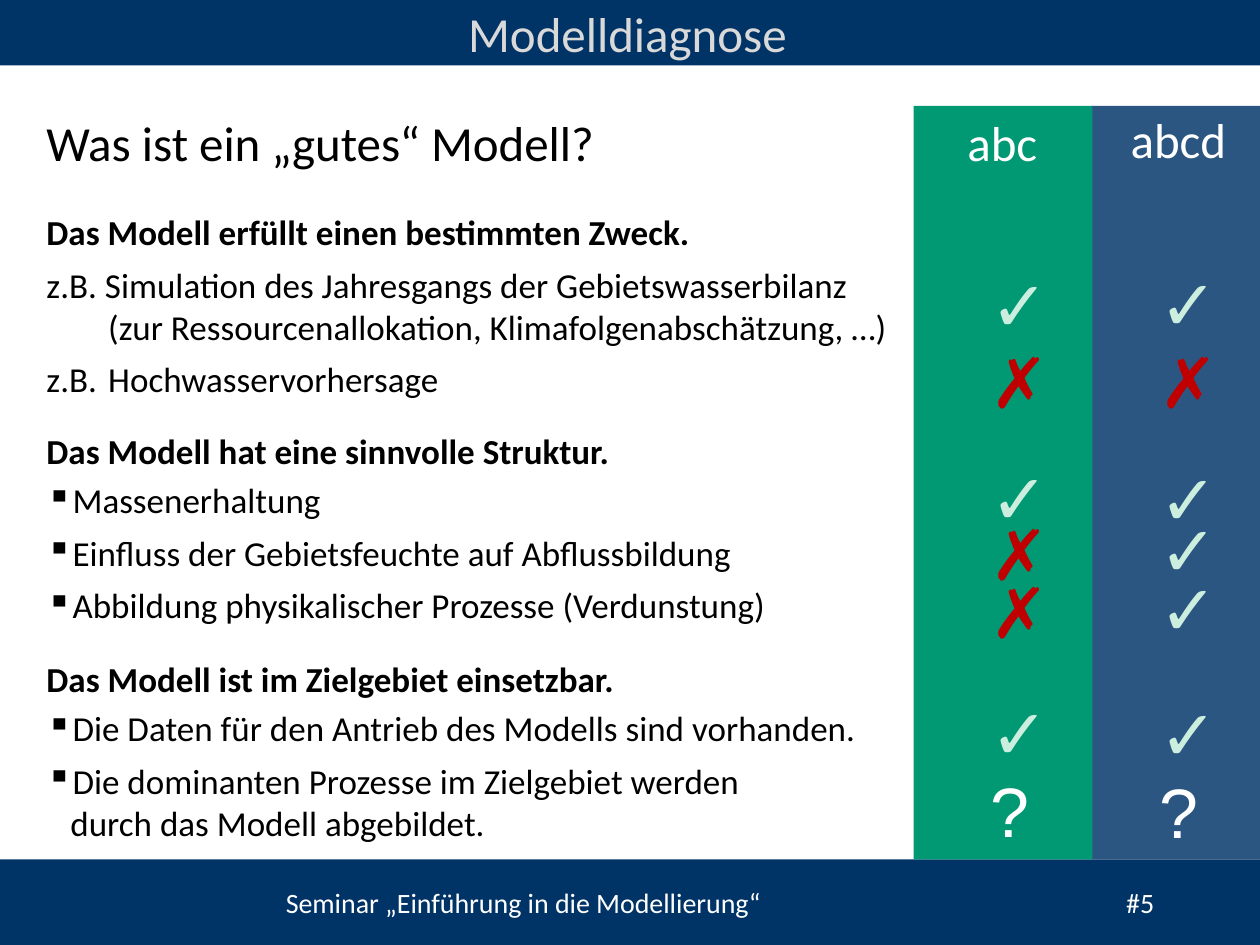
from lxml.etree import SubElement
from pptx import Presentation
from pptx.dml.color import RGBColor
from pptx.enum.shapes import MSO_SHAPE
from pptx.enum.text import PP_ALIGN
from pptx.oxml.ns import qn
from pptx.util import Inches, Pt

NAVY, BLUE, GREEN = "003366", "2B5681", "009973"
WHITE, BLACK, GREY = "FFFFFF", "000000", "D9D9D9"
MARK_COLORS = {"✓": "CCEEDF", "✗": "C00000", "?": WHITE}
HEADING_HEIGHT = 0.57


def color(hex_code):
    return RGBColor.from_string(hex_code)


def add_bar(slide, left, top, width, height, fill):
    shape = slide.shapes.add_shape(
        MSO_SHAPE.RECTANGLE, Inches(left), Inches(top), Inches(width), Inches(height))
    shape.shadow.inherit = False
    shape.fill.solid()
    shape.fill.fore_color.rgb = color(fill)
    shape.line.fill.background()


def set_hanging_indent(paragraph, indent, bullet=None):
    """Hang the first line by indent, led by a bullet or by text with a tab stop."""
    properties = paragraph._p.get_or_add_pPr()
    properties.set("marL", str(Inches(indent)))
    properties.set("indent", str(-Inches(indent)))
    if bullet:
        SubElement(properties, qn("a:buChar"), char=bullet)
    else:
        tabs = SubElement(properties, qn("a:tabLst"))
        SubElement(tabs, qn("a:tab"), pos=str(Inches(indent)), algn="l")


def add_text(slide, left, top, width, height, lines, size, fill=BLACK, font="Calibri",
             bold=False, align=PP_ALIGN.LEFT, space_after=0, indent=0, bullet=None):
    box = slide.shapes.add_textbox(
        Inches(left), Inches(top), Inches(width), Inches(height))
    frame = box.text_frame
    frame.word_wrap = True
    for index, line in enumerate(lines):
        paragraph = frame.add_paragraph() if index else frame.paragraphs[0]
        paragraph.text = line
        paragraph.alignment = align
        paragraph.space_after = Pt(space_after)
        if indent:
            set_hanging_indent(paragraph, indent, bullet)
        paragraph.font.size = Pt(size)
        paragraph.font.name = font
        paragraph.font.bold = bold
        paragraph.font.color.rgb = color(fill)


def add_title_bar(slide, left, top, width, height):
    add_bar(slide, left, top, width, height, NAVY)
    add_text(slide, left, top - 0.02, width - 0.04, height, ["Modelldiagnose"], 28,
             GREY, align=PP_ALIGN.CENTER)


def add_footer(slide, left, top, width, height):
    add_bar(slide, left, top, width, height, NAVY)
    add_text(slide, left + 2.17, top + 0.16, 5, 0.37,
             ["Seminar „Einführung in die Modellierung“"], 16, WHITE)
    add_text(slide, left + 8.84, top + 0.16, 1, 0.37, ["#5"], 16, WHITE)


def add_criterion(slide, left, top, width, heading, lines, list_offset, indent, bullet=None):
    """Place a bold heading with its list list_offset below."""
    add_text(slide, left, top, width, 0.44, [heading], 20, bold=True, space_after=6)
    add_text(slide, left, top + list_offset, width, 1.2, lines, 20,
             space_after=6, indent=indent, bullet=bullet)


def add_criteria(slide, left, top, width):
    add_text(slide, left, top, width, HEADING_HEIGHT, ["Was ist ein „gutes“ Modell?"], 28)
    add_criterion(
        slide, left, top + 0.78, width, "Das Modell erfüllt einen bestimmten Zweck.",
        ["z.B. Simulation des Jahresgangs der Gebietswasserbilanz\n"
         "(zur Ressourcenallokation, Klimafolgenabschätzung, …)",
         "z.B.\tHochwasservorhersage"], 0.42, 0.49)
    add_criterion(
        slide, left, top + 2.52, width, "Das Modell hat eine sinnvolle Struktur.",
        ["Massenerhaltung",
         "Einfluss der Gebietsfeuchte auf Abflussbildung",
         "Abbildung physikalischer Prozesse (Verdunstung)"], 0.39, 0.19, "▪")
    add_criterion(
        slide, left, top + 4.33, width, "Das Modell ist im Zielgebiet einsetzbar.",
        ["Die Daten für den Antrieb des Modells sind vorhanden.",
         "Die dominanten Prozesse im Zielgebiet werden\ndurch das Modell abgebildet."],
        0.39, 0.19, "▪")


def add_rating_column(slide, left, top, width, height, fill, name, name_offset, marks,
                      mark_offset):
    """Draw one model's column; offsets are (x, y) for the name, x for the marks."""
    add_bar(slide, left, top, width, height, fill)
    add_text(slide, left + name_offset[0], top + name_offset[1], 1.06, HEADING_HEIGHT,
             [name], 28, WHITE, align=PP_ALIGN.RIGHT)
    for mark, mark_top in marks:
        add_text(slide, left + mark_offset, top + mark_top, 0.55, 0.77, [mark], 40,
                 MARK_COLORS[mark], "Arial")


def main():
    presentation = Presentation()
    presentation.slide_width = Inches(10)
    presentation.slide_height = Inches(7.5)
    slide = presentation.slides.add_slide(presentation.slide_layouts[6])

    add_title_bar(slide, 0, 0, 10, 0.52)
    add_footer(slide, 0, 6.82, 10, 0.68)
    add_criteria(slide, 0.27, 0.84, 7.01)
    add_rating_column(
        slide, 8.66, 0.84, 1.34, 5.98, BLUE, "abcd", (0.11, -0.02),
        [("✓", 1.18), ("✗", 1.8), ("✓", 2.73), ("✓", 3.13), ("✓", 3.6),
         ("✓", 4.59), ("?", 5.21)], 0.44)
    add_rating_column(
        slide, 7.25, 0.84, 1.42, 5.98, GREEN, "abc", (0.02, 0),
        [("✓", 1.19), ("✗", 1.8), ("✓", 2.72), ("✗", 3.16), ("✗", 3.62),
         ("✓", 4.58), ("?", 5.2)], 0.51)

    presentation.save("out.pptx")


if __name__ == "__main__":
    main()
